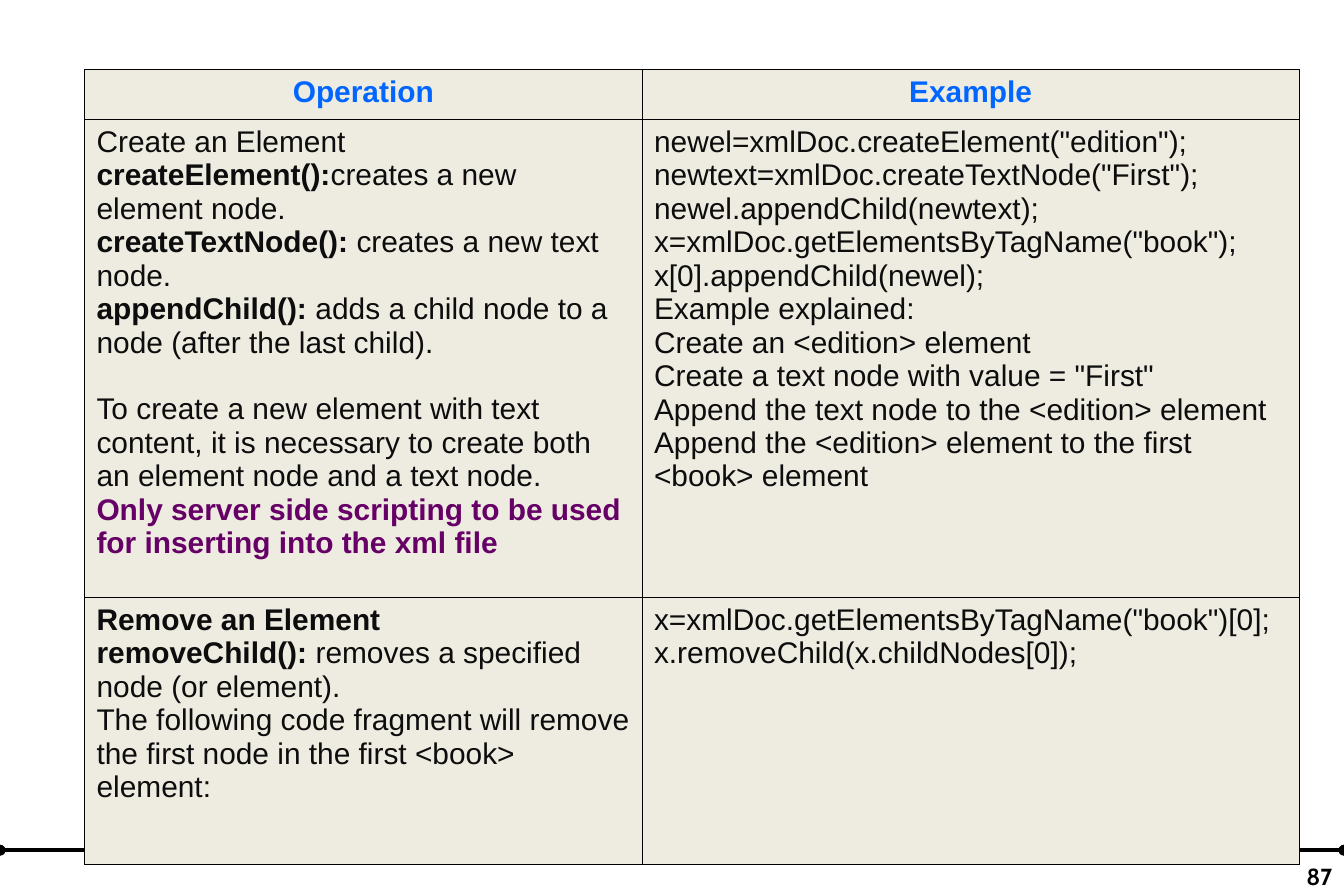
from dataclasses import dataclass

from lxml.etree import SubElement
from pptx import Presentation
from pptx.dml.color import RGBColor
from pptx.enum.shapes import MSO_CONNECTOR
from pptx.enum.text import MSO_ANCHOR, PP_ALIGN
from pptx.oxml import parse_xml
from pptx.oxml.ns import nsdecls, qn
from pptx.slide import Slide
from pptx.table import _Cell
from pptx.text.text import TextFrame
from pptx.util import Emu, Pt

EMU_PER_PX = 7620  # 120 px to the inch

BLACK = RGBColor(0x00, 0x00, 0x00)
INK = RGBColor(0x0D, 0x0D, 0x0D)
HEADING_BLUE = RGBColor(0x00, 0x66, 0xFF)
WARNING_PURPLE = RGBColor(0x66, 0x00, 0x66)
CELL_BEIGE = RGBColor(0xEE, 0xEC, 0xE1)

SLIDE_SIZE = (1350, 900)
FOOTER_LINE_Y = 854
TABLE_LEFT, TABLE_TOP = 85, 70
COLUMN_WIDTHS = (560, 660)
ROW_HEIGHTS = (50, 480, 268)


@dataclass(frozen=True)
class Line:
    """One paragraph: a bold lead followed by plain text."""
    lead: str = ""
    plain: str = ""
    color: RGBColor = INK
    align: PP_ALIGN = PP_ALIGN.LEFT
    space_before: int = 0
    font: str = "Arial"
    size: int = 18


def heading(text: str) -> list[Line]:
    return [Line(text, color=HEADING_BLUE, align=PP_ALIGN.CENTER)]


def plain_lines(*texts: str) -> list[Line]:
    return [Line(plain=text) for text in texts]


CREATE_OPERATION = [
    Line(plain="Create an Element"),
    Line("createElement():", "creates a new element node."),
    Line("createTextNode(): ", "creates a new text node."),
    Line("appendChild():", " adds a child node to a node (after the last child)."),
    Line(plain="To create a new element with text content, it is necessary to "
               "create both an element node and a text node.", space_before=20),
    Line("Only server side scripting to be used for inserting into the xml file",
         color=WARNING_PURPLE),
]
CREATE_EXAMPLE = plain_lines(
    'newel=xmlDoc.createElement("edition");',
    'newtext=xmlDoc.createTextNode("First");',
    "newel.appendChild(newtext);",
    'x=xmlDoc.getElementsByTagName("book");',
    "x[0].appendChild(newel);",
    "Example explained:",
    "Create an <edition> element",
    'Create a text node with value = "First"',
    "Append the text node to the <edition> element",
    "Append the <edition> element to the first <book> element",
)
REMOVE_OPERATION = [
    Line("Remove an Element"),
    Line("removeChild():", " removes a specified node (or element)."),
    Line(plain="The following code fragment will remove the first node in the "
               "first <book> element:"),
]
REMOVE_EXAMPLE = plain_lines(
    'x=xmlDoc.getElementsByTagName("book")[0];',
    "x.removeChild(x.childNodes[0]);",
)
TABLE_ROWS = [
    (heading("Operation"), heading("Example")),
    (CREATE_OPERATION, CREATE_EXAMPLE),
    (REMOVE_OPERATION, REMOVE_EXAMPLE),
]


def px(length: int) -> Emu:
    return Emu(length * EMU_PER_PX)


def write_lines(text_frame: TextFrame, lines: list[Line]) -> None:
    for index, line in enumerate(lines):
        paragraph = text_frame.add_paragraph() if index else text_frame.paragraphs[0]
        paragraph.alignment = line.align
        if line.space_before:
            paragraph.space_before = Pt(line.space_before)
        for text, bold in ((line.lead, True), (line.plain, False)):
            if text:
                run = paragraph.add_run()
                run.text = text
                run.font.name = line.font
                run.font.size = Pt(line.size)
                run.font.bold = bold
                run.font.color.rgb = line.color


def style_cell(cell: _Cell) -> None:
    """Fill the cell and rule all four sides."""
    cell.fill.solid()
    cell.fill.fore_color.rgb = CELL_BEIGE
    properties = cell._tc.get_or_add_tcPr()
    for position, side in enumerate(("lnL", "lnR", "lnT", "lnB")):
        border = parse_xml(
            f'<a:{side} {nsdecls("a")} w="{Pt(0.45)}"><a:solidFill>'
            f'<a:srgbClr val="{BLACK}"/></a:solidFill></a:{side}>')
        properties.insert(position, border)


def add_footer_line(slide: Slide) -> None:
    line = slide.shapes.add_connector(
        MSO_CONNECTOR.STRAIGHT, 0, px(FOOTER_LINE_Y),
        px(SLIDE_SIZE[0]), px(FOOTER_LINE_Y))
    line.line.color.rgb = BLACK
    line.line.width = Pt(2.25)
    outline = line.line._get_or_add_ln()
    for end in ("a:headEnd", "a:tailEnd"):
        SubElement(outline, qn(end), type="oval")
    SubElement(line._element.spPr, qn("a:effectLst"))


def add_page_number(slide: Slide) -> None:
    box = slide.shapes.add_textbox(px(1100), px(840), px(250), px(60))
    box.text_frame.word_wrap = True
    box.text_frame.vertical_anchor = MSO_ANCHOR.BOTTOM
    write_lines(box.text_frame, [
        Line("87", color=BLACK, align=PP_ALIGN.RIGHT, font="Cabin", size=14)])


def add_operations_table(slide: Slide) -> None:
    table = slide.shapes.add_table(
        len(ROW_HEIGHTS), len(COLUMN_WIDTHS), px(TABLE_LEFT), px(TABLE_TOP),
        px(sum(COLUMN_WIDTHS)), px(sum(ROW_HEIGHTS))).table
    table.first_row = False
    table.horz_banding = False
    for column, width in zip(table.columns, COLUMN_WIDTHS):
        column.width = px(width)
    for row, height, contents in zip(table.rows, ROW_HEIGHTS, TABLE_ROWS):
        row.height = px(height)
        for cell, lines in zip(row.cells, contents):
            style_cell(cell)
            write_lines(cell.text_frame, lines)


def main() -> None:
    presentation = Presentation()
    presentation.slide_width, presentation.slide_height = map(px, SLIDE_SIZE)
    slide = presentation.slides.add_slide(presentation.slide_layouts[6])
    add_footer_line(slide)
    add_page_number(slide)
    add_operations_table(slide)
    presentation.save("out.pptx")


if __name__ == "__main__":
    main()
